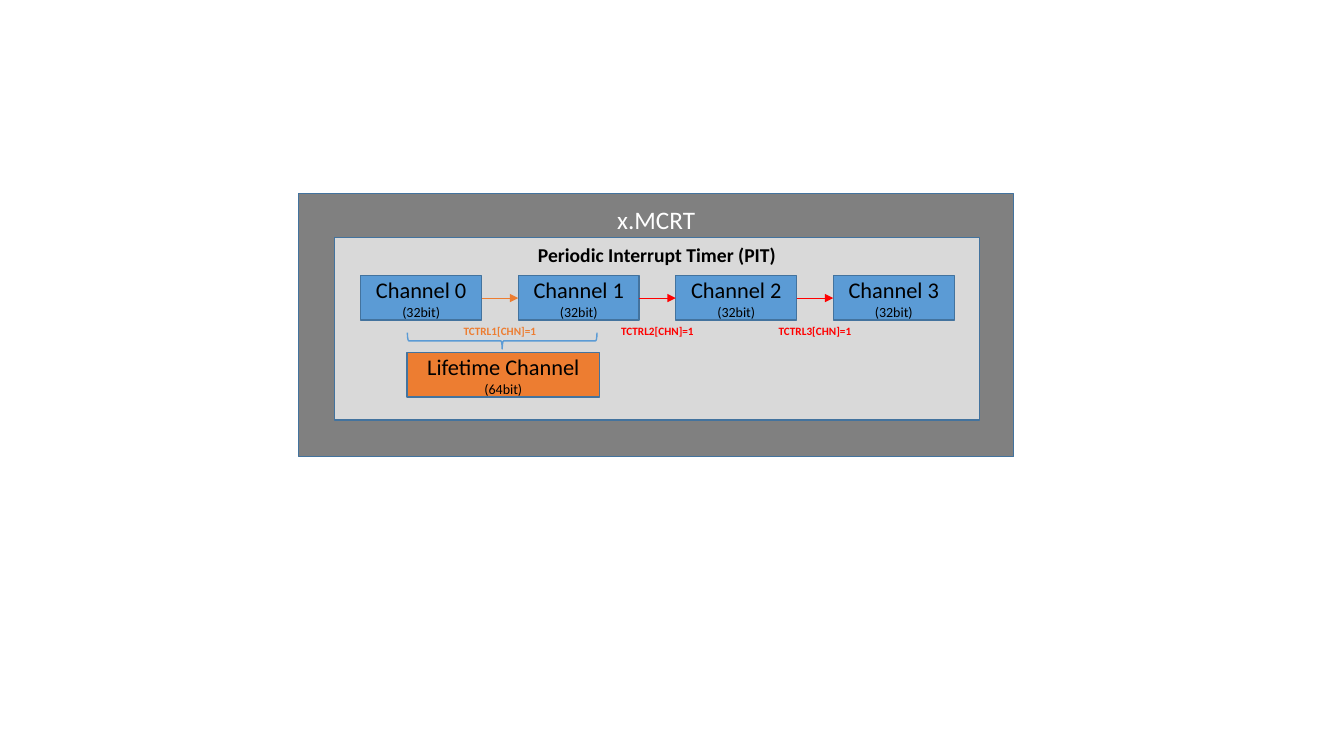
"""Build the timer channel chaining diagram."""
from dataclasses import dataclass

import pptx
import pptx.dml.color
import pptx.enum.shapes
import pptx.enum.text
import pptx.oxml
import pptx.oxml.ns
import pptx.util

Cm = pptx.util.Cm
Pt = pptx.util.Pt
SHAPE = pptx.enum.shapes.MSO_SHAPE
ANCHOR = pptx.enum.text.MSO_ANCHOR


@dataclass(frozen=True)
class Theme:
    font: str = "Calibri"
    black: str = "000000"
    white: str = "FFFFFF"
    chip: str = "808080"
    panel: str = "D9D9D9"
    blue: str = "5B9BD5"
    orange: str = "ED7D31"
    red: str = "FF0000"
    outline: str = "43739E"
    chip_size: int = 18
    panel_size: int = 14
    name_size: int = 16
    width_size: int = 10
    label_size: int = 8
    outline_width: float = 1
    arrow_width: float = 0.5


THEME = Theme()
CHANNELS = 4
LEFT, TOP, WIDTH, HEIGHT, PITCH = 9.09, 6.95, 3.05, 1.12, 3.97
LABEL_TOP, LABEL_WIDTH, LABEL_HEIGHT = 8.17, 2.46, 0.36


def rgb(color):
    return pptx.dml.color.RGBColor.from_string(color)


def write(s, lines, color, bold=False, anchor=ANCHOR.MIDDLE, inset=0):
    """Fill s with centred (text, size) lines."""
    tf = s.text_frame
    tf.word_wrap = True
    tf.vertical_anchor = anchor
    tf.margin_left = tf.margin_right = tf.margin_bottom = 0
    tf.margin_top = Cm(inset)
    for i, (text, size) in enumerate(lines):
        p = tf.add_paragraph() if i else tf.paragraphs[0]
        p.text = text
        p.alignment = pptx.enum.text.PP_ALIGN.CENTER
        p.font.name = THEME.font
        p.font.size = Pt(size)
        p.font.bold = bold
        p.font.color.rgb = rgb(color)


def add_box(slide, x, y, w, h, fill):
    s = slide.shapes.add_shape(SHAPE.RECTANGLE, Cm(x), Cm(y), Cm(w), Cm(h))
    s.shadow.inherit = False
    s.fill.solid()
    s.fill.fore_color.rgb = rgb(fill)
    s.line.color.rgb = rgb(THEME.outline)
    s.line.width = Pt(THEME.outline_width)
    return s


def add_frame(slide, x, y, w, h, fill, title, size, color, bold, inset):
    s = add_box(slide, x, y, w, h, fill)
    write(s, [(title, size)], color, bold, ANCHOR.TOP, inset)


def add_channel(slide, x, y, w, fill, name, bits):
    s = add_box(slide, x, y, w, HEIGHT, fill)
    lines = [(name, THEME.name_size), (f"({bits}bit)", THEME.width_size)]
    write(s, lines, THEME.black)


def add_brace(slide, x, y, w, h):
    s = slide.shapes.add_shape(SHAPE.RIGHT_BRACE, Cm(x), Cm(y), Cm(w), Cm(h))
    s.rotation = 90
    s.shadow.inherit = False
    s.fill.background()
    s.line.color.rgb = rgb(THEME.blue)
    s.line.width = Pt(THEME.outline_width)


def add_arrow(slide, x1, x2, y, color):
    s = slide.shapes.add_connector(
        pptx.enum.shapes.MSO_CONNECTOR.STRAIGHT, Cm(x1), Cm(y), Cm(x2), Cm(y))
    s.line.color.rgb = rgb(color)
    s.line.width = Pt(THEME.arrow_width)
    qn = pptx.oxml.ns.qn
    head = s.line._get_or_add_ln().makeelement(qn("a:tailEnd"), {"type": "triangle"})
    s.line._get_or_add_ln().append(head)
    sp_pr = s._element.spPr
    sp_pr.append(sp_pr.makeelement(qn("a:effectLst"), {}))


def add_label(slide, center, text, color):
    s = slide.shapes.add_textbox(
        Cm(center - LABEL_WIDTH / 2), Cm(LABEL_TOP), Cm(LABEL_WIDTH), Cm(LABEL_HEIGHT))
    write(s, [(text, THEME.label_size)], color, bold=True)


def main():
    prs = pptx.Presentation()
    prs.slide_width, prs.slide_height = Cm(33.87), Cm(19.05)
    slide = prs.slides.add_slide(prs.slide_layouts[6])

    add_frame(slide, 7.52, 4.88, 18.03, 6.63, THEME.chip,
              "x.MCRT", THEME.chip_size, THEME.white, False, 0.28)
    add_frame(slide, 8.43, 5.99, 16.26, 4.6, THEME.panel,
              "Periodic Interrupt Timer (PIT)", THEME.panel_size, THEME.black, True, 0.13)

    lefts = [LEFT + i * PITCH for i in range(CHANNELS)]
    for i, x in enumerate(lefts):
        add_channel(slide, x, TOP, WIDTH, THEME.blue, f"Channel {i}", 32)
    add_channel(slide, 10.26, 8.89, 4.85, THEME.orange, "Lifetime Channel", 64)
    add_brace(slide, 12.45, 6.2, 0.41, 4.78)

    for i, x in enumerate(lefts[1:], start=1):
        start = lefts[i - 1] + WIDTH
        color = THEME.orange if i == 1 else THEME.red
        add_arrow(slide, start, x, TOP + HEIGHT / 2, color)
        add_label(slide, (start + x) / 2, f"TCTRL{i}[CHN]=1", color)

    prs.save("out.pptx")


if __name__ == "__main__":
    main()
